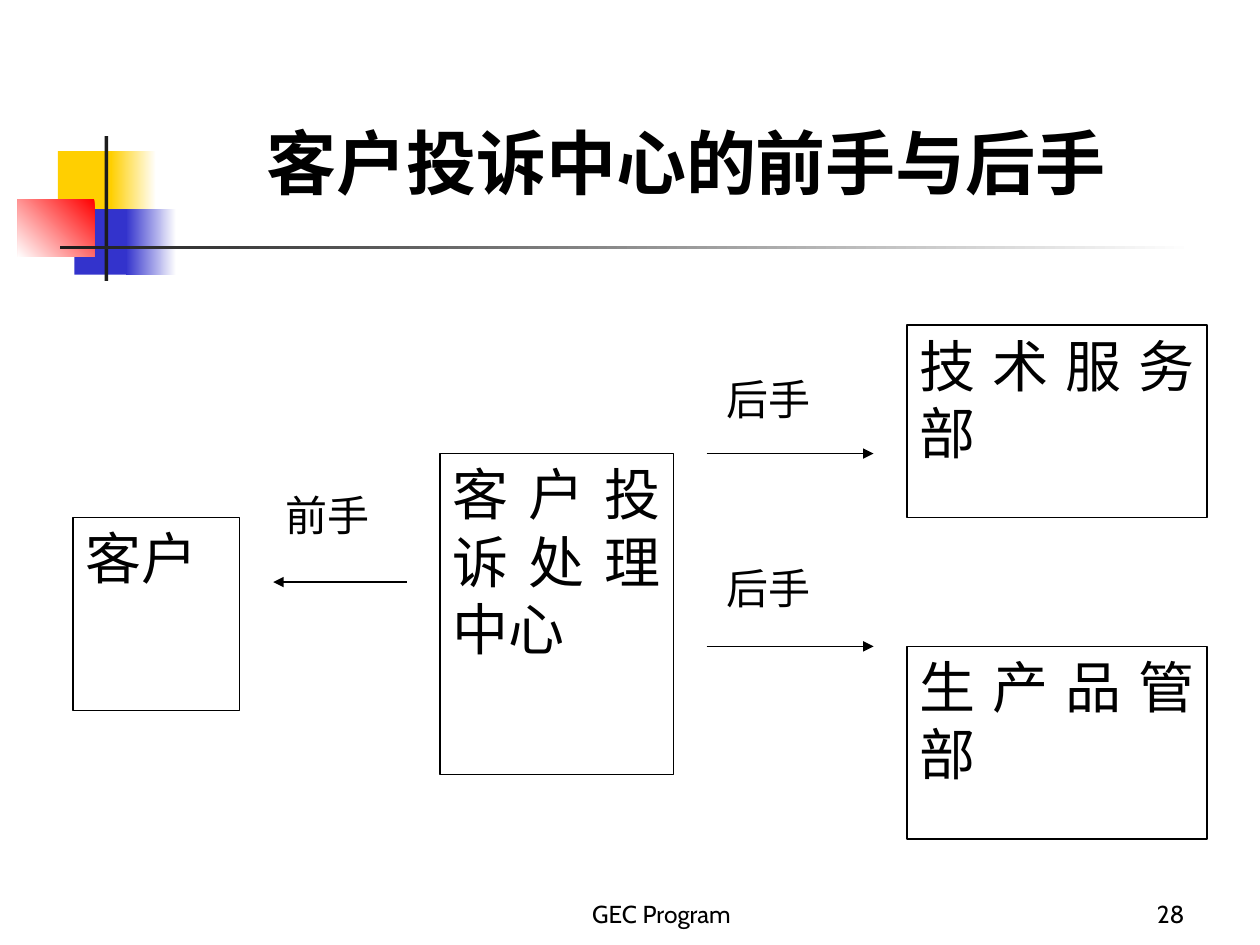
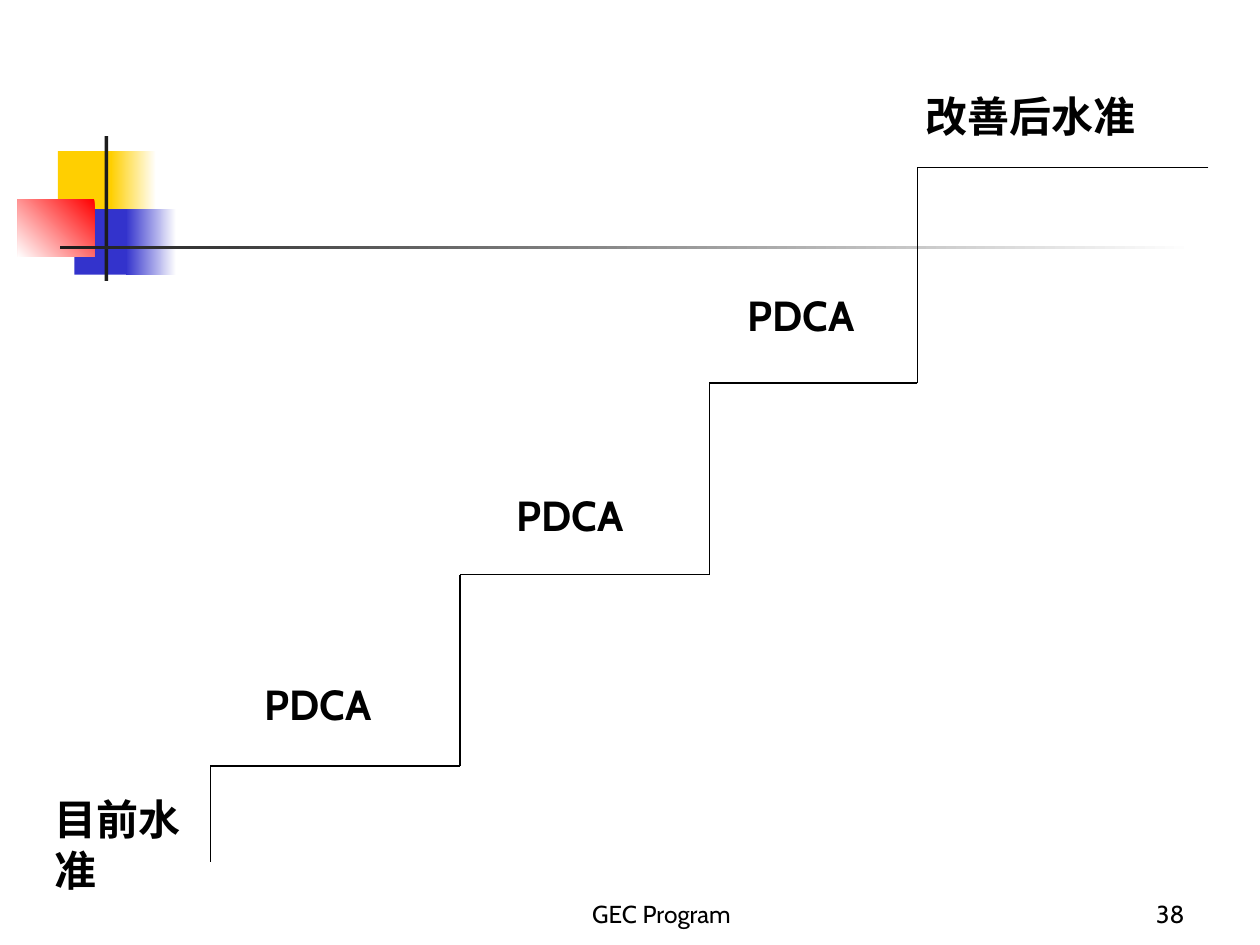
from itertools import pairwise

from lxml import etree
from pptx import Presentation
from pptx import util as u
from pptx.dml.color import RGBColor
from pptx.enum import shapes, text
from pptx.oxml.ns import qn

INK = {
    "white": "FFFFFF", "black": "000000", "dark": "1C1C1C",
    "gold": "FFCF01", "blue": "3333CC", "red": "FF0000",
}
SANS, SERIF = "Cabin", "Times New Roman"
LEFT, MID, RIGHT, FULL = (text.PP_ALIGN.LEFT, text.PP_ALIGN.CENTER,
                          text.PP_ALIGN.RIGHT, text.PP_ALIGN.JUSTIFY)
TOP, LOW = text.MSO_ANCHOR.TOP, text.MSO_ANCHOR.BOTTOM

# Each grid is left, top, column width and row height in inches.
PAGE = (0, 0, 1 / 12, 1 / 12)
FLOW = (0.58, 2.58, 9 / 34, 0.51)
STAIRS = (1.67, 1.33, 0.33, 0.19)

# Left, top, width, height in inches; colours from and to; angle.
BAND = [
    (0.46, 1.2, 0.48, 0.52, "gold", None, 0),
    (0.88, 1.2, 0.36, 0.52, "white", "gold", 180),
    (0.59, 1.66, 0.46, 0.52, "blue", None, 0),
    (1, 1.66, 0.4, 0.52, "white", "blue", 180),
    (0.14, 1.58, 0.61, 0.46, "red", "white", 225),
    (0.83, 1.08, 0.03, 1.15, "dark", None, 0),
    (0.48, 1.95, 9, 0.03, "white", "dark", 180),
]


def tint(name):
    return RGBColor.from_string(INK[name])


class Deck:
    def __init__(self):
        self.prs = Presentation()
        self.prs.slide_width, self.prs.slide_height = u.Inches(10), u.Inches(7.5)

    def page(self, num):
        """Start a slide with the shared band and footer."""
        self.slide = self.prs.slides.add_slide(self.prs.slide_layouts[6])
        self.items = self.slide.shapes
        for x, y, w, h, ink, end, turn in BAND:
            self.block((x * 12, y * 12, w * 12, h * 12), ink, end, turn)
        self.label("GEC Program", (44, 83, 38, 6), 14, align=MID, anchor=LOW)
        self.label(str(num), (89, 83, 25, 6), 14, align=RIGHT, anchor=LOW)

    def spot(self, col, row, grid):
        x, y, dx, dy = grid
        return u.Inches(x + col * dx), u.Inches(y + row * dy)

    def area(self, cell, grid):
        col, row, wide, high = cell
        return (*self.spot(col, row, grid),
                u.Inches(wide * grid[2]), u.Inches(high * grid[3]))

    def block(self, cell, ink, end=None, turn=0, grid=PAGE):
        item = self.items.add_shape(shapes.MSO_SHAPE.RECTANGLE,
                                    *self.area(cell, grid))
        item.shadow.inherit = False
        item.line.fill.background()
        if end:
            item.fill.gradient()
            item.fill.gradient_angle = turn
            for stop, name, pos in zip(item.fill.gradient_stops, (ink, end), (0, 1)):
                stop.color.rgb = tint(name)
                stop.position = pos
        else:
            item.fill.solid()
            item.fill.fore_color.rgb = tint(ink)
        return item

    def fit(self, item, words, size, face=SANS, bold=False, align=LEFT, anchor=TOP):
        """Put styled words into a shape."""
        frame = item.text_frame
        frame.word_wrap = True
        frame.vertical_anchor = anchor
        frame.text = words
        para = frame.paragraphs[0]
        para.alignment = align
        for run in para.runs:
            font = run.font
            font.size, font.name, font.bold = u.Pt(size), face, bold
            font.color.rgb = tint("black")

    def label(self, words, cell, size=24, **look):
        item = self.items.add_textbox(*self.area(cell, PAGE))
        self.fit(item, words, size, **look)

    def box(self, words, cell):
        item = self.block(cell, "white", grid=FLOW)
        item.line.color.rgb = tint("black")
        item.line.width = u.Pt(0.75)
        self.fit(item, words, 32, SERIF, align=FULL)

    def line(self, start, stop, grid, arrow=False):
        item = self.items.add_connector(shapes.MSO_CONNECTOR.STRAIGHT,
                                        *self.spot(*start, grid),
                                        *self.spot(*stop, grid))
        item.line.color.rgb = tint("black")
        item.line.width = u.Pt(0.75)
        props = item.element.spPr
        if arrow:
            etree.SubElement(props.find(qn("a:ln")), qn("a:tailEnd"),
                             type="triangle")
        etree.SubElement(props, qn("a:effectLst"))


def flow(deck):
    deck.page(28)
    deck.label("客户投诉中心的前手与后手 ", (15, 5, 102.2, 15), 40,
               bold=True, align=MID, anchor=LOW)
    for words, cell in [("客户", (0, 3, 5, 3)),
                        ("客户投诉处理中心", (11, 2, 7, 5)),
                        ("技术服务部", (25, 0, 9, 3)),
                        ("生产品管部", (25, 5, 9, 3))]:
        deck.box(words, cell)
    for start, stop, row in [(10, 6, 4), (19, 24, 5), (19, 24, 2)]:
        deck.line((start, row), (stop, row), FLOW, arrow=True)
    for words, col, row in [("前手", 26, 46), ("后手", 68, 35), ("后手", 68, 53)]:
        deck.label(words, (col, row, 12, 6))


def stairs(deck):
    deck.page(38)
    turns = [(24, 0), (17, 0), (17, 9), (12, 9), (12, 17),
             (6, 17), (6, 25), (0, 25), (0, 29)]
    for start, stop in pairwise(turns):
        deck.line(start, stop, STAIRS)
    deck.label("改善后水准", (87, 8, 25, 6), bold=True)
    deck.label("目前水准", (4, 75, 17, 10.8), bold=True)
    for col, row in [(70, 27), (48, 46), (24, 64)]:
        deck.label("PDCA", (col, row, 14, 6), bold=True)


def main():
    deck = Deck()
    flow(deck)
    stairs(deck)
    deck.prs.save("out.pptx")


if __name__ == "__main__":
    main()
